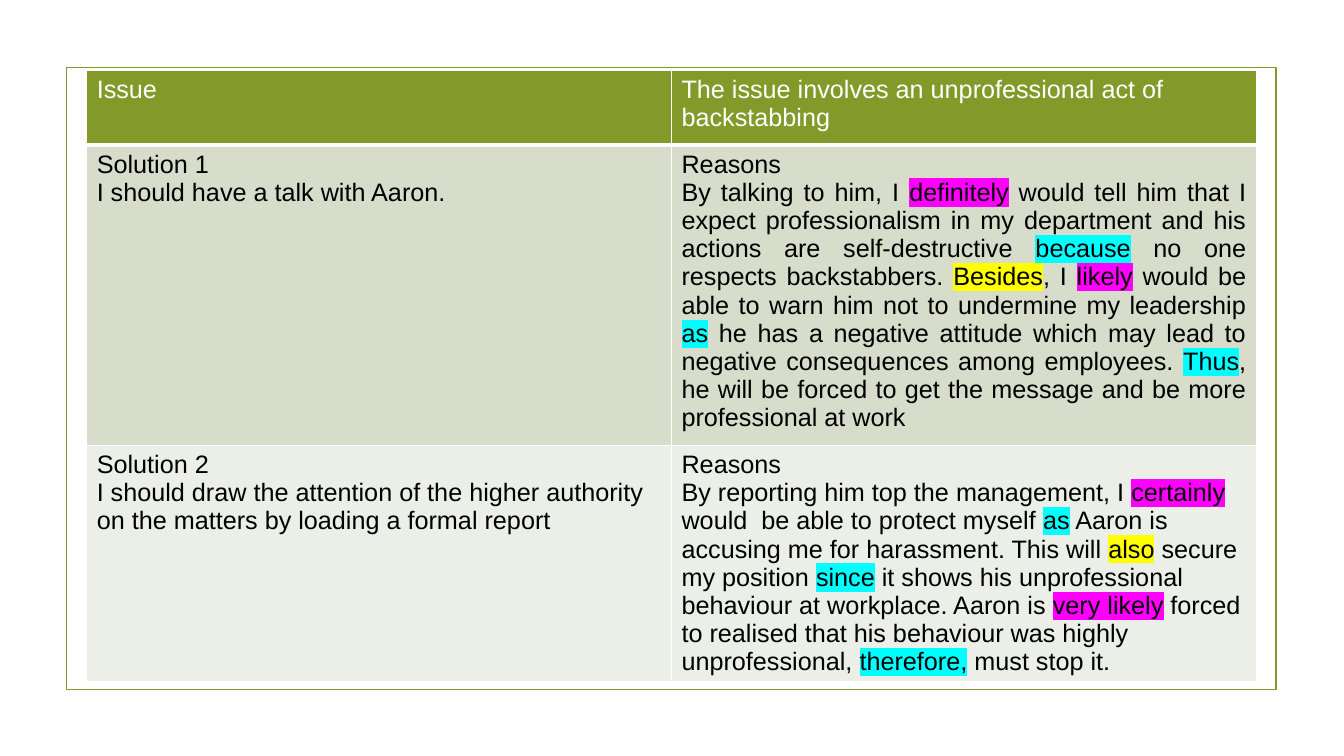
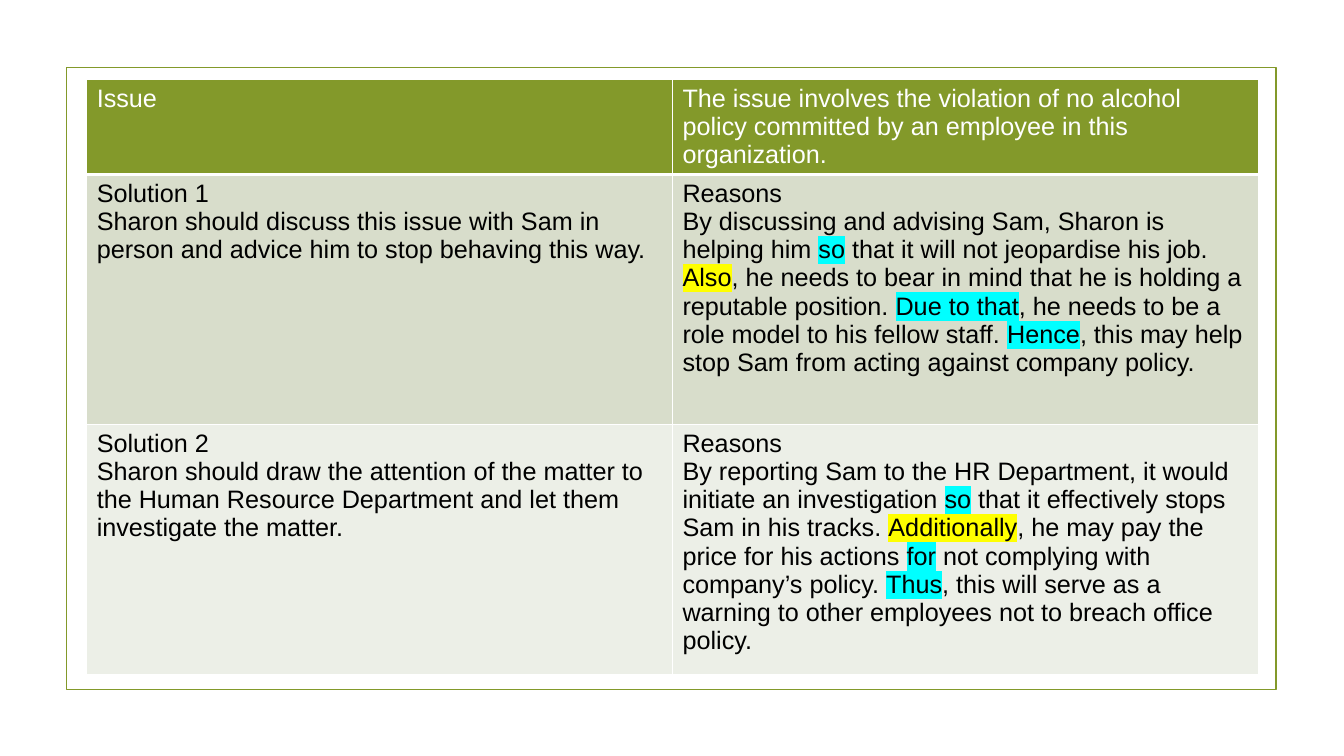
from dataclasses import dataclass

from lxml import etree
from pptx import Presentation
from pptx.dml.color import RGBColor
from pptx.enum.shapes import MSO_SHAPE
from pptx.enum.text import PP_ALIGN
from pptx.oxml.ns import qn
from pptx.util import Emu, Pt

RECTANGLE = MSO_SHAPE.RECTANGLE
LEFT, JUSTIFY = PP_ALIGN.LEFT, PP_ALIGN.JUSTIFY
EMU_PER_PX = 9144  # 100 px to the inch
BLANK_LAYOUT = 6


@dataclass(frozen=True)
class Theme:
    font: str = "Arial"
    size: int = 18
    green: str = "83992A"
    white: str = "FFFFFF"
    black: str = "000000"
    bands: tuple = ("D8DDCB", "ECEFE7")
    certainty: str = "FF00FF"
    cause: str = "00FFFF"
    addition: str = "FFFF00"
    frame_line: float = 1.25
    cell_line: int = 1
    header_line: int = 3


@dataclass(frozen=True)
class Solution:
    action: str
    reasons: str  # {kind:words} highlights words in the theme colour of that kind
    align: PP_ALIGN = LEFT


@dataclass(frozen=True)
class Issue:
    summary: str
    solutions: tuple
    top: int
    column_width: int
    row_heights: tuple


THEME = Theme()
TABLE_LEFT = 86

ISSUES = (
    Issue(
        "The issue involves an unprofessional act of backstabbing",
        (
            Solution(
                "I should have a talk with Aaron.",
                "By talking to him, I {certainty:definitely} would tell him that I expect "
                "professionalism in my department and his actions are self-destructive "
                "{cause:because} no one respects backstabbers. {addition:Besides}, I "
                "{certainty:likely} would be able to warn him not to undermine my leadership "
                "{cause:as} he has a negative attitude which may lead to negative consequences "
                "among employees. {cause:Thus}, he will be forced to get the message and be "
                "more professional at work",
                JUSTIFY,
            ),
            Solution(
                "I should draw the attention of the higher authority on the matters by "
                "loading a formal report",
                "By reporting him top the management, I {certainty:certainly} would  be able "
                "to protect myself {cause:as} Aaron is accusing me for harassment. This will "
                "{addition:also} secure my position {cause:since} it shows his unprofessional "
                "behaviour at workplace. Aaron is {certainty:very likely} forced to realised "
                "that his behaviour was highly unprofessional, {cause:therefore,} must stop it.",
            ),
        ),
        top=70, column_width=580, row_heights=(74, 298, 234),
    ),
    Issue(
        "The issue involves the violation of no alcohol policy committed by an employee "
        "in this organization.",
        (
            Solution(
                "Sharon should discuss this issue with Sam in person and advice him to stop "
                "behaving this way.",
                "By discussing and advising Sam, Sharon is helping him {cause:so} that it will "
                "not jeopardise his job. {addition:Also}, he needs to bear in mind that he is "
                "holding a reputable position. {cause:Due to that}, he needs to be a role model "
                "to his fellow staff. {cause:Hence}, this may help stop Sam from acting against "
                "company policy.",
            ),
            Solution(
                "Sharon should draw the attention of the matter to the Human Resource "
                "Department and let them investigate the matter.",
                "By reporting Sam to the HR Department, it would initiate an investigation "
                "{cause:so} that it effectively stops Sam in his tracks. "
                "{addition:Additionally}, he may pay the price for his actions {cause:for} not "
                "complying with company’s policy. {cause:Thus}, this will serve as a warning to "
                "other employees not to breach office policy.",
            ),
        ),
        top=79, column_width=581, row_heights=(79, 248, 248),
    ),
)


def px(length):
    return Emu(length * EMU_PER_PX)


def add_color(parent, color):
    etree.SubElement(parent, qn("a:srgbClr"), val=color)


def add_frame(slide):
    """Put the green frame on the slide's layout, where all slides share it."""
    frame = slide.shapes.add_shape(RECTANGLE, px(66), px(67), px(1200), px(617))
    frame.shadow.inherit = False
    frame.fill.background()
    frame.line.color.rgb = RGBColor.from_string(THEME.green)
    frame.line.width = Pt(THEME.frame_line)
    frame.element.nvSpPr.cNvPr.id = 20
    slide.slide_layout.shapes.element.append(frame.element)


def add_run(paragraph, text, color, highlight=None):
    run = paragraph.add_run()
    run.text = text
    formats = {"name": THEME.font, "size": Pt(THEME.size), "bold": False}
    for name, value in formats.items():
        setattr(run.font, name, value)
    run.font.color.rgb = RGBColor.from_string(color)
    if highlight:
        mark = etree.Element(qn("a:highlight"))
        add_color(mark, highlight)
        run.font.fill  # the highlight follows the text fill
        run.font._element.find(qn("a:solidFill")).addnext(mark)


def add_marked_text(paragraph, text, color):
    for index, part in enumerate(text.replace("}", "{").split("{")):
        if index % 2:
            kind, words = part.split(":")
            add_run(paragraph, words, color, getattr(THEME, kind))
        elif part:
            add_run(paragraph, part, color)


def set_borders(cell, top, bottom):
    properties = cell._tc.get_or_add_tcPr()
    widths = {"L": THEME.cell_line, "R": THEME.cell_line, "T": top, "B": bottom}
    for side, width in widths.items():
        line = etree.SubElement(properties, qn(f"a:ln{side}"), w=str(Pt(width)))
        add_color(etree.SubElement(line, qn("a:solidFill")), THEME.white)


def fill_cell(cell, texts, fill, color, top, bottom, align=LEFT):
    set_borders(cell, top, bottom)
    cell.fill.solid()
    cell.fill.fore_color.rgb = RGBColor.from_string(fill)
    frame = cell.text_frame
    for index, text in enumerate(texts):
        paragraph = frame.add_paragraph() if index else frame.paragraphs[0]
        paragraph.alignment = align if index else LEFT
        add_marked_text(paragraph, text, color)


def add_issue_table(slide, issue):
    heights = issue.row_heights
    table = slide.shapes.add_table(
        len(heights), 2, px(TABLE_LEFT), px(issue.top),
        px(2 * issue.column_width), px(sum(heights)),
    ).table
    table.horz_banding = False
    for column in table.columns:
        column.width = px(issue.column_width)
    for row, height in zip(table.rows, heights):
        row.height = px(height)

    # Header row
    for column, text in enumerate(("Issue", issue.summary)):
        fill_cell(table.cell(0, column), [text], THEME.green, THEME.white,
                  THEME.cell_line, THEME.header_line)

    # One row for each solution and its reasons
    for number, (solution, band) in enumerate(zip(issue.solutions, THEME.bands), 1):
        top = THEME.header_line if number == 1 else THEME.cell_line
        style = (band, THEME.black, top, THEME.cell_line)
        fill_cell(table.cell(number, 0), [f"Solution {number}", solution.action], *style)
        fill_cell(table.cell(number, 1), ["Reasons", solution.reasons], *style,
                  align=solution.align)


def main():
    presentation = Presentation()
    presentation.slide_width, presentation.slide_height = px(1333), px(750)
    layout = presentation.slide_layouts[BLANK_LAYOUT]
    slides = [presentation.slides.add_slide(layout) for _ in ISSUES]
    add_frame(slides[0])
    for slide, issue in zip(slides, ISSUES):
        add_issue_table(slide, issue)
    presentation.save("out.pptx")


if __name__ == "__main__":
    main()
